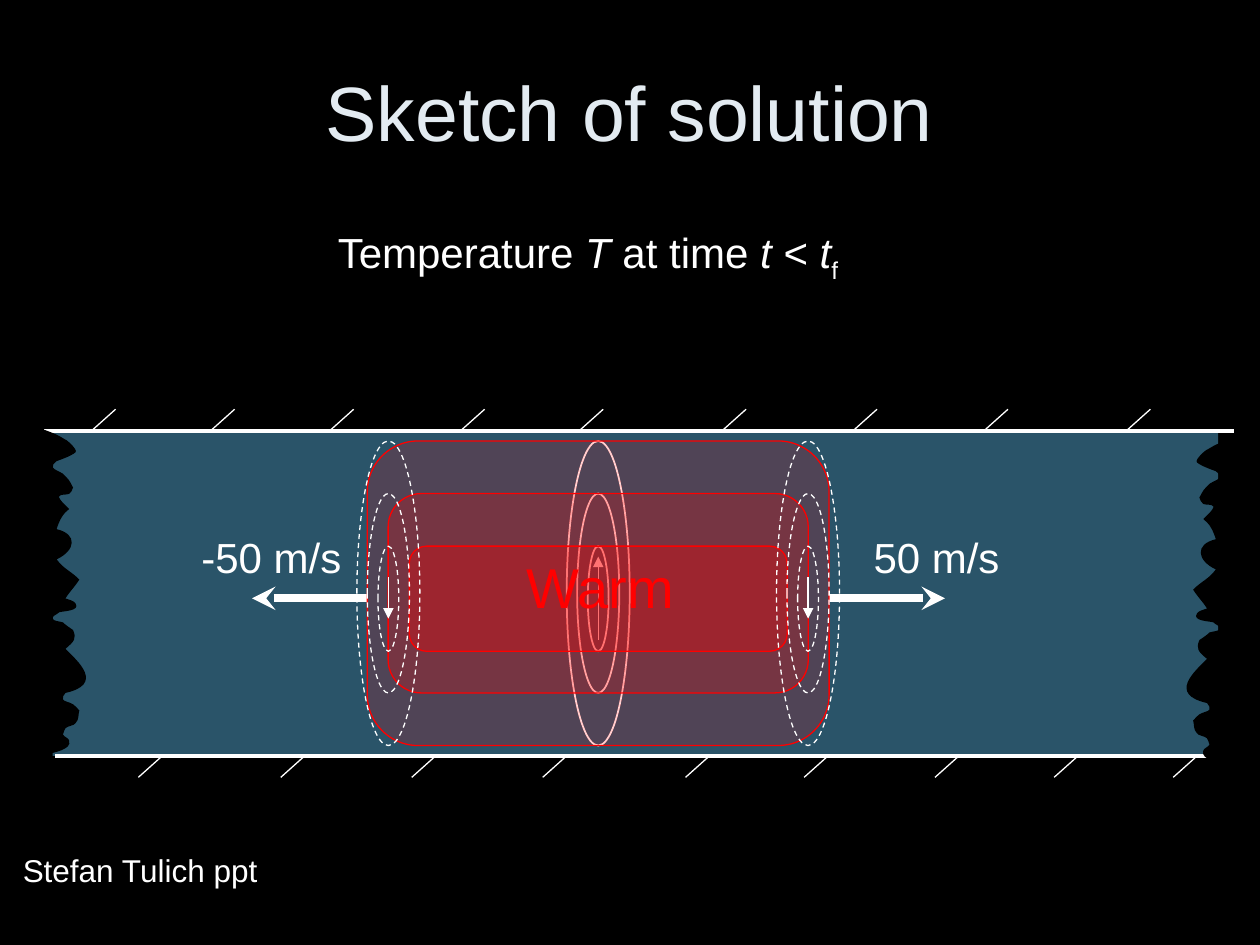
import pptx
import pptx.util
import pptx.dml.color
import pptx.enum.dml
import pptx.enum.shapes
import pptx.enum.text
import pptx.oxml.ns
from lxml import etree

Cm = pptx.util.Cm
Pt = pptx.util.Pt
RGBColor = pptx.dml.color.RGBColor
MSO_SHAPE = pptx.enum.shapes.MSO_SHAPE
DASH = pptx.enum.dml.MSO_LINE.DASH
qn = pptx.oxml.ns.qn

BLACK = RGBColor(0x00, 0x00, 0x00)
WHITE = RGBColor(0xFF, 0xFF, 0xFF)
RED = RGBColor(0xFF, 0x00, 0x00)
WATER = RGBColor(0x66, 0xCC, 0xFF)
TITLE = RGBColor(0xE3, 0xEB, 0xF1)

FONT = "Arial"
MID_X, MID_Y = 12.06, 12.06
FRONT_DX = 4.23
WALL_TOP, WALL_BOTTOM = 8.68, 15.24
WALL_MIRROR = 25.98
HATCHES = [1.85, 4.25, 6.65, 9.29, 11.68, 14.56, 17.2, 19.84, 22.71]
LAYERS = [
    # top, height, ring width, warm width, opacity
    (8.89, 6.14, 1.27, 9.31, 18),
    (9.95, 4.02, 0.85, 8.47, 22),
    (11.01, 2.12, 0.42, 7.62, 29),
]
EDGE_UNIT = Cm(2.54) / 100
EDGE_START = (16, 330)
EDGE_CURVES = [
    (23, 339, 29, 338, 45, 345), (47, 346, 52, 349, 52, 349),
    (53, 349, 62, 357, 60, 359), (57, 362, 45, 366, 45, 366),
    (43, 368, 41, 369, 42, 371), (43, 373, 47, 374, 50, 376),
    (55, 381, 55, 381, 58, 387), (57, 389, 57, 391, 55, 392),
    (53, 393, 48, 392, 47, 394), (46, 396, 54, 403, 55, 404),
    (53, 406, 51, 407, 50, 409), (47, 413, 45, 420, 45, 420),
    (62, 424, 60, 437, 45, 444), (51, 452, 56, 453, 63, 460),
    (60, 465, 55, 470, 52, 475), (55, 476, 59, 477, 60, 479),
    (64, 485, 50, 485, 47, 486), (45, 488, 41, 489, 42, 491),
    (42, 493, 47, 493, 50, 494), (52, 496, 55, 498, 58, 500),
    (61, 507, 59, 509, 52, 515), (62, 525, 83, 543, 52, 550),
    (51, 552, 49, 553, 50, 555), (51, 557, 55, 557, 58, 559),
    (60, 560, 61, 562, 63, 564), (62, 567, 63, 571, 60, 574),
    (59, 576, 54, 576, 52, 578), (51, 579, 51, 581, 50, 583),
    (51, 585, 55, 586, 55, 588), (57, 595, 43, 597, 37, 599),
    (16, 595, 26, 590, 21, 576), (19, 571, 16, 566, 13, 560),
    (16, 513, 18, 466, 10, 420), (11, 394, 11, 368, 13, 342),
    (13, 340, 22, 325, 16, 330),
]


def paint(sp, fill=None, opacity=None, line=None, width=0.75, dash=None):
    sp.shadow.inherit = False
    if fill is None:
        sp.fill.background()
    else:
        sp.fill.solid()
        sp.fill.fore_color.rgb = fill
        if opacity:
            color = sp.fill._xPr.find(qn("a:solidFill"))[0]
            etree.SubElement(color, qn("a:alpha")).set("val", str(opacity * 1000))
    if line is None:
        sp.line.fill.background()
    else:
        sp.line.color.rgb = line
        sp.line.width = Pt(width)
        if dash:
            sp.line.dash_style = dash


def add_box(shapes, kind, x, y, w, h, **style):
    sp = shapes.add_shape(kind, Cm(x), Cm(y), Cm(w), Cm(h))
    paint(sp, **style)


def add_line(shapes, x1, y1, x2, y2, width=0.75, end=None, head="triangle"):
    c = shapes.add_connector(pptx.enum.shapes.MSO_CONNECTOR.STRAIGHT,
                             Cm(x1), Cm(y1), Cm(x2), Cm(y2))
    c.line.color.rgb = WHITE
    c.line.width = Pt(width)
    if end:
        etree.SubElement(c.line._get_or_add_ln(), qn(end)).set("type", head)
    etree.SubElement(c._element.spPr, qn("a:effectLst"))


def add_text(s, x, y, w, h, runs, size, color=WHITE, wrap=True):
    tf = s.shapes.add_textbox(Cm(x), Cm(y), Cm(w), Cm(h)).text_frame
    tf.word_wrap = wrap
    tf.auto_size = pptx.enum.text.MSO_AUTO_SIZE.SHAPE_TO_FIT_TEXT
    p = tf.paragraphs[0]
    p.font.name, p.font.size, p.font.color.rgb = FONT, Pt(size), color
    for text, style in runs:
        r = p.add_run()
        r.text = text
        if style == "italic":
            r.font.italic = True
        elif style == "sub":
            r.font._element.set("baseline", "-25000")


def add_title(s, text):
    sp = s.shapes.title
    sp.left, sp.top, sp.width, sp.height = Cm(1.9), Cm(0.64), Cm(21.59), Cm(3.18)
    tf = sp.text_frame
    tf.text = text
    tf.vertical_anchor = pptx.enum.text.MSO_ANCHOR.MIDDLE
    p = tf.paragraphs[0]
    p.alignment = pptx.enum.text.PP_ALIGN.CENTER
    p.font.name, p.font.size, p.font.color.rgb = FONT, Pt(44), TITLE


def add_rings(s, cx, **style):
    shapes = s.shapes.add_group_shape().shapes
    for top, height, width, _, _ in LAYERS:
        add_box(shapes, MSO_SHAPE.OVAL, cx - width / 2, top, width, height, **style)
    return shapes


def add_warm_layers(s):
    for top, height, _, width, opacity in LAYERS:
        add_box(s.shapes, MSO_SHAPE.ROUNDED_RECTANGLE, MID_X - width / 2, top,
                width, height, fill=RED, opacity=opacity, line=RED)


def add_walls(shapes):
    add_line(shapes, 0.89, WALL_TOP, 24.87, WALL_TOP, 2.25)
    for x in HATCHES:
        add_line(shapes, x, WALL_TOP, x + 0.48, WALL_TOP - 0.43)
    add_line(shapes, WALL_MIRROR - 0.89, WALL_BOTTOM, 1.11, WALL_BOTTOM, 2.25)
    for x in HATCHES:
        x = WALL_MIRROR - x
        add_line(shapes, x, WALL_BOTTOM, x - 0.48, WALL_BOTTOM + 0.43)


def add_torn_edge(shapes, mirrored=False):
    points = [EDGE_START]
    for curve in EDGE_CURVES:
        points += zip(curve[::2], curve[1::2])
    if mirrored:
        points = [(1010 - x, y + 8) for x, y in points]
    fb = shapes.build_freeform(*points[0], scale=EDGE_UNIT)
    fb.add_line_segments(points[1:], close=True)
    sp = fb.convert_to_shape()
    bend_segments(sp)
    paint(sp, fill=BLACK)


def bend_segments(sp):
    segments = list(sp._element.iter(qn("a:lnTo")))
    for i in range(0, len(segments), 3):
        curve = etree.Element(qn("a:cubicBezTo"))
        segments[i].addprevious(curve)
        for segment in segments[i:i + 3]:
            curve.append(segment[0])
            segment.getparent().remove(segment)


def main():
    prs = pptx.Presentation()
    prs.slide_width, prs.slide_height = Cm(25.4), Cm(19.05)
    s = prs.slides.add_slide(prs.slide_layouts[5])
    s.background.fill.solid()
    s.background.fill.fore_color.rgb = BLACK

    add_title(s, "Sketch of solution")
    add_box(s.shapes, MSO_SHAPE.RECTANGLE, 1.06, WALL_TOP, 23.5, 6.56,
            fill=WATER, opacity=41)
    add_rings(s, MID_X, line=RED)
    add_rings(s, MID_X, line=WHITE, width=1)
    add_text(s, 6.56, 4.45, 11.22, 1.27,
             [("Temperature ", None), ("T", "italic"), (" at time ", None),
              ("t", "italic"), (" < ", None), ("t", "italic"), ("f", "sub")], 24)
    for x1, x2 in ((16.72, 19.05), (7.41, 5.08)):
        add_line(s.shapes, x1, MID_Y, x2, MID_Y, 4.5, "a:tailEnd", "stealth")
    add_text(s, 17.36, 10.58, 3.05, 1.27, [("50 m/s", None)], 24, wrap=False)
    add_text(s, 3.81, 10.58, 3.33, 1.27, [("-50 m/s", None)], 24, wrap=False)
    add_line(s.shapes, MID_X, 11.22, MID_X, 12.91, end="a:headEnd")
    add_warm_layers(s)
    add_text(s, 10.37, 11.01, 3.76, 1.6, [("Warm", None)], 32, RED)
    for cx in (MID_X + FRONT_DX, MID_X - FRONT_DX):
        shapes = add_rings(s, cx, line=WHITE, dash=DASH)
        add_line(shapes, cx, 12.47, cx, 11.63, end="a:headEnd")

    channel = s.shapes.add_group_shape().shapes
    add_walls(channel)
    add_torn_edge(channel)
    add_torn_edge(channel, mirrored=True)
    add_box(s.shapes, MSO_SHAPE.RECTANGLE, 24.54, 14.82, 0.85, 0.64, fill=BLACK)
    add_text(s, 0.21, 17.03, 6.4, 1.02, [("Stefan Tulich ppt", None)], 18)
    prs.save("out.pptx")


if __name__ == "__main__":
    main()
